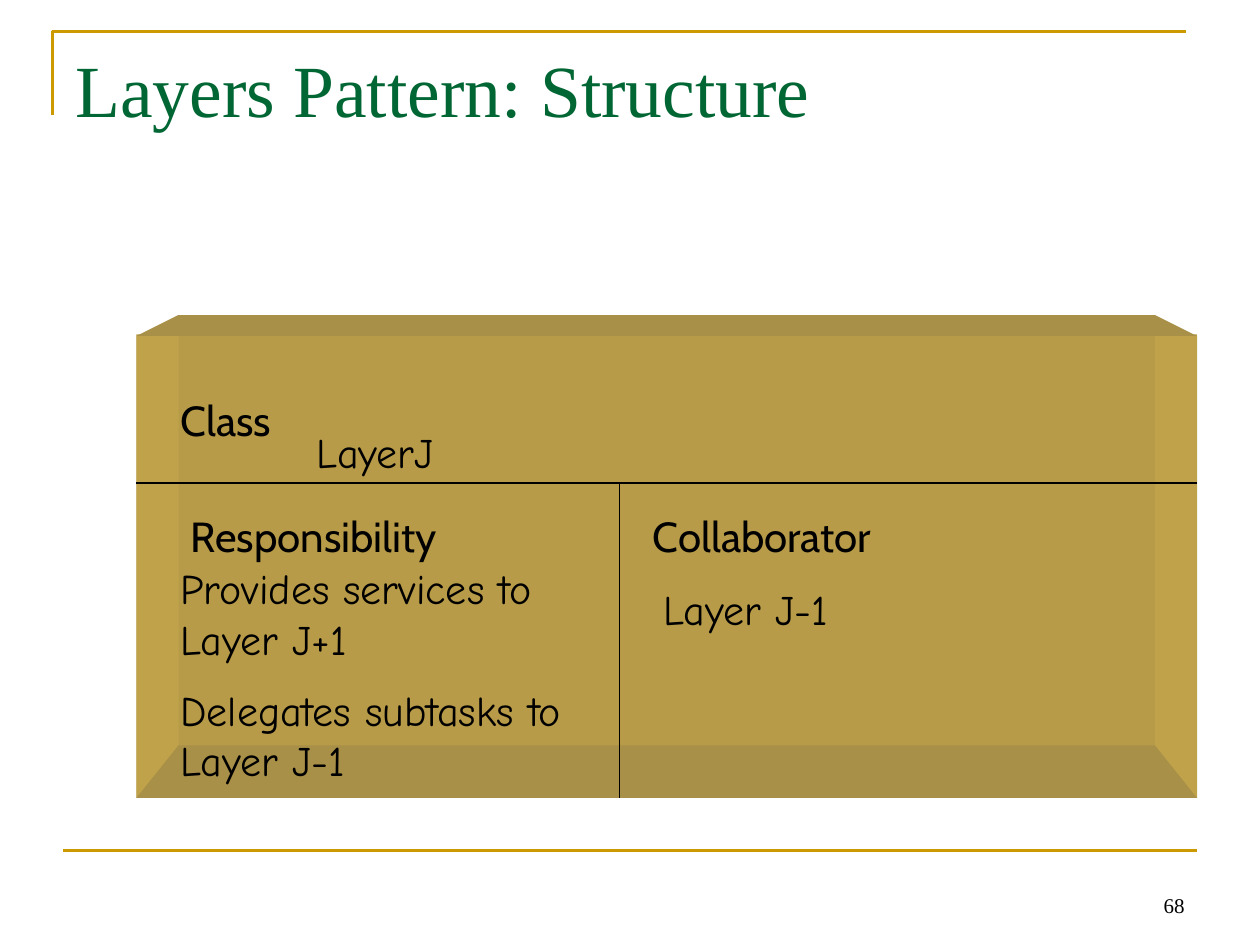
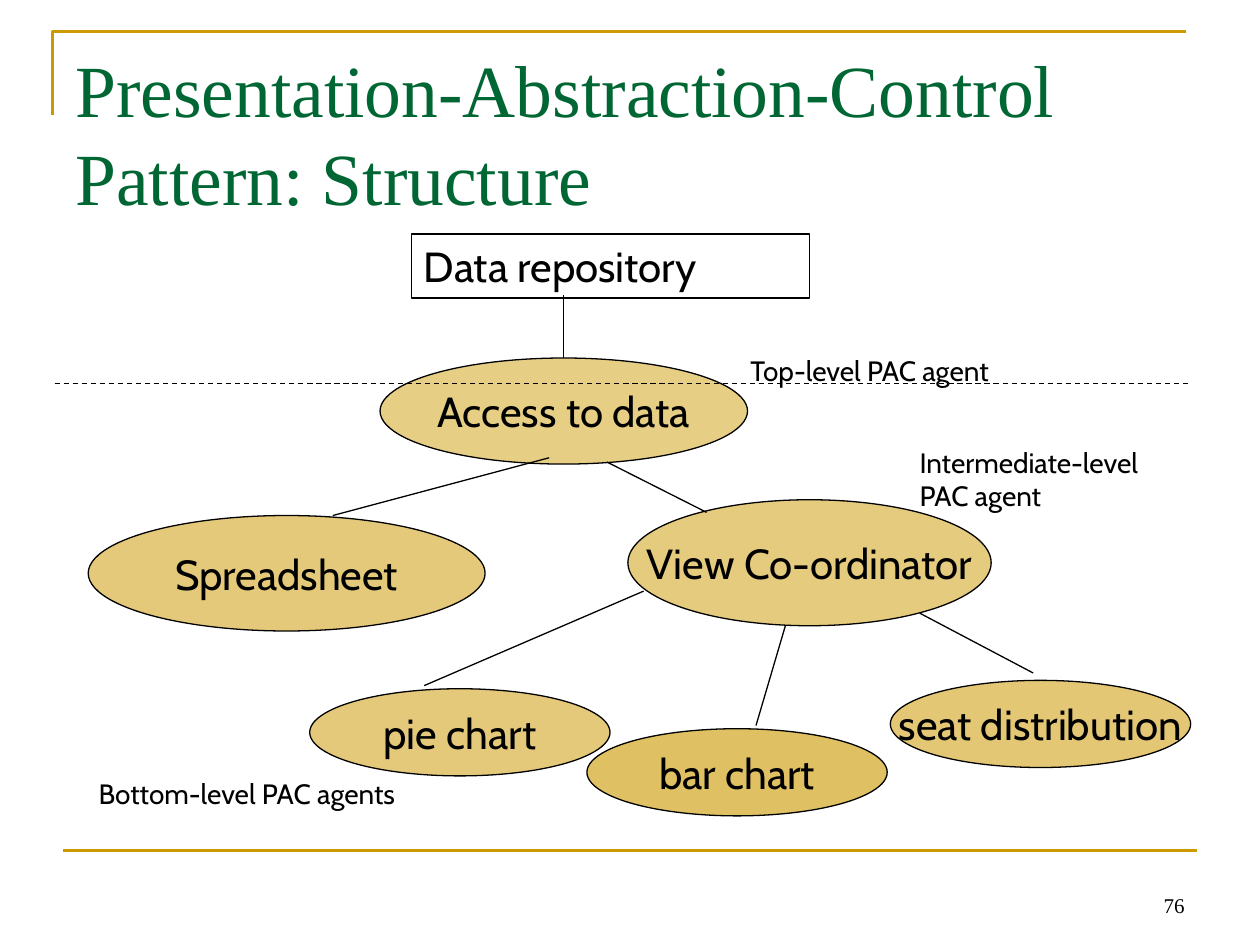
from lxml import etree
from pptx import Presentation
from pptx import util as u
from pptx.dml.color import RGBColor
from pptx.enum import dml, shapes, text
from pptx.oxml.ns import qn

CELL = u.Inches(1) // 12
COLUMNS, ROWS = 120, 90
SERIF, SANS, HAND = "Times New Roman", "Cabin", "Comic Neue"
GOLD, GREEN, BLACK = "CC9900", "006633", "000000"
CARD_FACE, CARD_SIDE, CARD_SHADE = "B79B48", "BFA24A", "A99048"

LAYERS = {
    "title": "Layers Pattern: Structure",
    "number": "68",
    "card": (13, 31.85, 101, 44.15),
    "facets": [
        (CARD_SIDE, [(13, 31.85), (17.1, 31.85), (17.1, 71), (13, 76)]),
        (CARD_SIDE, [(114, 31.85), (109.9, 31.85), (109.9, 71), (114, 76)]),
        (CARD_SHADE, [(13, 31.85), (17.1, 30.5), (109.9, 30.5), (114, 31.85)]),
        (CARD_SHADE, [(13, 76), (17.1, 71), (109.9, 71), (114, 76)]),
    ],
    "dividers": [((13, 46), (114, 46)), ((59, 46), (59, 76))],
    "entries": [
        (["Class"], SANS, (16, 37, 36, 6)),
        (["Responsibility"], SANS, (17, 48, 40, 6)),
        (["Collaborator"], SANS, (61, 48, 47, 6)),
        (["LayerJ"], HAND, (29, 40, 29, 6)),
        (["Provides services to Layer J+1", "Delegates subtasks to Layer J-1"],
         HAND, (16, 53, 41, 22.8)),
        (["Layer J-1"], HAND, (62, 55, 43, 6)),
    ],
}

PAC = {
    "title": "Presentation-Abstraction-Control Pattern: Structure",
    "number": "76",
    "repository": ("Data repository", (39.2, 22.3, 37.9, 6.1)),
    "agents": [
        ("Access to data", 48, (36.2, 34.1, 35, 10.1)),
        ("Spreadsheet", 52, (8.4, 49.1, 37.8, 11)),
        ("View Co-ordinator", 51, (59.8, 47.6, 34.6, 12)),
        ("pie chart", 52, (29.5, 65.6, 28.6, 8.3)),
        ("bar chart", 61, (55.9, 69.4, 28.6, 8.3)),
        ("seat distribution", 54, (84.8, 64.8, 28.6, 8.3)),
    ],
    "links": [
        ((31.7, 49.1), (52.3, 43.6)),
        ((67.3, 48.8), (57.8, 44)),
        ((61.3, 56.3), (40.4, 65.3)),
        ((74.8, 59.6), (72, 69.1)),
        ((87.6, 58.4), (98.4, 64.1)),
    ],
    "repository_link": ((53.7, 28.1), (53.7, 34.1)),
    "level_line": ((5.2, 36.5), (113.4, 36.5)),
    "levels": [
        ("Top-level PAC agent", (70.3, 33.1, 26.9, 4.4)),
        ("Intermediate-level PAC agent", (86.4, 41.8, 26.9, 7.7)),
        ("Bottom-level PAC agents", (8.2, 73.4, 35.4, 4.4)),
    ],
}


def color(value):
    return RGBColor.from_string(value)


def cells(values):
    return [round(value * CELL) for value in values]


def style(shape, fill=None, line=None, width=0.75, opacity=100):
    shape.shadow.inherit = False
    if fill:
        shape.fill.solid()
        shape.fill.fore_color.rgb = color(fill)
        if opacity < 100:
            tint = shape.fill._xPr.find(qn("a:solidFill"))[0]
            etree.SubElement(tint, qn("a:alpha"), val=str(opacity * 1000))
    else:
        shape.fill.background()
    if line:
        shape.line.color.rgb = color(line)
        shape.line.width = u.Pt(width)
    else:
        shape.line.fill.background()


def write(shape, paragraphs, font, size, ink=BLACK, align=text.PP_ALIGN.LEFT,
          anchor=text.MSO_ANCHOR.TOP, wrap=True):
    frame = shape.text_frame
    frame.word_wrap = wrap
    frame.vertical_anchor = anchor
    for index, words in enumerate(paragraphs):
        paragraph = frame.add_paragraph() if index else frame.paragraphs[0]
        paragraph.alignment = align
        if index:
            paragraph.space_before = u.Pt(size / 2)
        run = paragraph.add_run()
        run.text = words
        run.font.name = font
        run.font.size = u.Pt(size)
        run.font.color.rgb = color(ink)


def add_text(slide, paragraphs, place, font, size, **options):
    write(slide.shapes.add_textbox(*cells(place)), paragraphs, font, size, **options)


def add_line(slide, ends, ink=BLACK, width=0.75):
    start, end = ends
    line = slide.shapes.add_connector(shapes.MSO_CONNECTOR.STRAIGHT, *cells(start + end))
    line.line.color.rgb = color(ink)
    line.line.width = u.Pt(width)
    etree.SubElement(line._element.spPr, qn("a:effectLst"))
    return line


def add_outline(slide, points, close=True):
    builder = slide.shapes.build_freeform(*points[0], scale=CELL)
    builder.add_line_segments(points[1:], close=close)
    return builder.convert_to_shape()


def add_slide(deck, content):
    slide = deck.slides.add_slide(deck.slide_layouts[6])
    corner = add_outline(slide, [(5, 11), (5, 3), (113, 3)], close=False)
    style(corner, line=GOLD, width=1.5)
    add_line(slide, ((6, 81), (114, 81)), GOLD, 1.5)
    add_text(slide, [content["title"]], (6, 3.6, 108, 15), SERIF, 42, ink=GREEN)
    add_text(slide, [content["number"]], (86, 82, 28, 6), SERIF, 12,
             align=text.PP_ALIGN.RIGHT, anchor=text.MSO_ANCHOR.BOTTOM)
    return slide


def build_layers(deck):
    slide = add_slide(deck, LAYERS)
    card = slide.shapes.add_shape(shapes.MSO_SHAPE.RECTANGLE, *cells(LAYERS["card"]))
    style(card, CARD_FACE)
    for shade, points in LAYERS["facets"]:
        style(add_outline(slide, points), shade)
    for ends in LAYERS["dividers"]:
        add_line(slide, ends)
    for paragraphs, font, place in LAYERS["entries"]:
        add_text(slide, paragraphs, place, font, 24)


def build_pac(deck):
    slide = add_slide(deck, PAC)
    label, place = PAC["repository"]
    repository = slide.shapes.add_shape(shapes.MSO_SHAPE.RECTANGLE, *cells(place))
    style(repository, line=BLACK)
    write(repository, [label], SANS, 24)

    agents = {}
    for label, opacity, place in PAC["agents"]:
        agent = slide.shapes.add_shape(shapes.MSO_SHAPE.OVAL, *cells(place))
        style(agent, GOLD, BLACK, opacity=opacity)
        write(agent, [label], SANS, 24, align=text.PP_ALIGN.CENTER,
              anchor=text.MSO_ANCHOR.MIDDLE, wrap=False)
        agents[label] = agent

    for ends in PAC["links"]:
        add_line(slide, ends)
    add_line(slide, PAC["repository_link"]).end_connect(agents["Access to data"], 0)
    add_line(slide, PAC["level_line"]).line.dash_style = dml.MSO_LINE.DASH
    for label, place in PAC["levels"]:
        add_text(slide, [label], place, SANS, 16)


def main():
    deck = Presentation()
    deck.slide_width, deck.slide_height = COLUMNS * CELL, ROWS * CELL
    build_layers(deck)
    build_pac(deck)
    deck.save("out.pptx")


if __name__ == "__main__":
    main()
